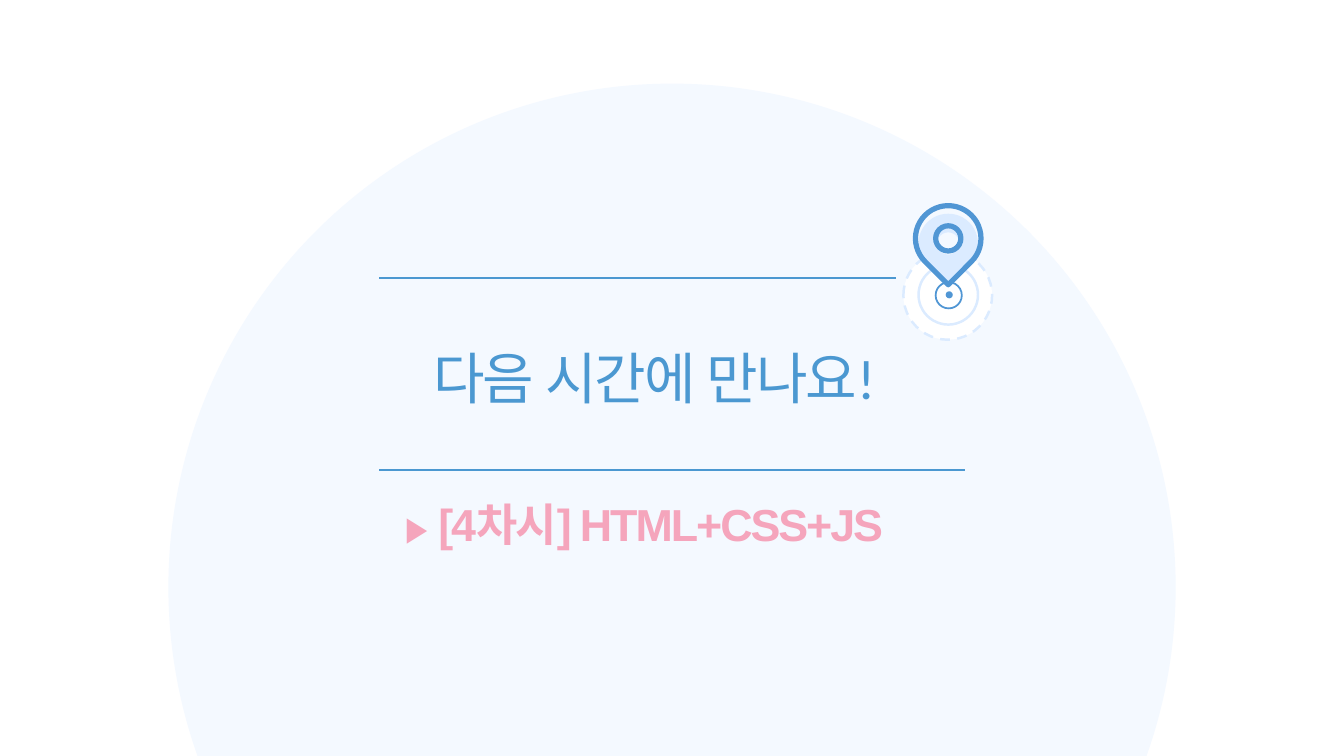
import math
from dataclasses import dataclass
from typing import Optional

from lxml import etree
from pptx import Presentation
from pptx.dml.color import RGBColor
from pptx.enum.dml import MSO_LINE
from pptx.enum.shapes import MSO_CONNECTOR, MSO_SHAPE
from pptx.enum.text import MSO_ANCHOR, MSO_AUTO_SIZE, PP_ALIGN
from pptx.oxml.ns import qn
from pptx.util import Inches, Pt

STRAIGHT = MSO_CONNECTOR.STRAIGHT
OVAL = MSO_SHAPE.OVAL
DASH = MSO_LINE.DASH
TOP = MSO_ANCHOR.TOP
NO_AUTOFIT = MSO_AUTO_SIZE.NONE
LEFT, CENTER = PP_ALIGN.LEFT, PP_ALIGN.CENTER

WHITE = RGBColor(0xFF, 0xFF, 0xFF)
PALE = RGBColor(0xF4, 0xF9, 0xFF)
LIGHT = RGBColor(0xDB, 0xEB, 0xFF)
BLUE = RGBColor(0x4B, 0x98, 0xD1)
PIN_BLUE = RGBColor(0x50, 0x96, 0xD4)
PINK = RGBColor(0xF5, 0xA5, 0xBC)

HEAD_ANGLES = [135, 180, 270, 360, 405]
HOLE_ANGLES = [0, 90, 180, 270, 360]


@dataclass
class Circle:
    left: float
    top: float
    diameter: float
    fill: RGBColor
    line: Optional[RGBColor] = None
    width: float = 0
    dash: Optional[MSO_LINE] = None


@dataclass
class Pin:
    left: float
    top: float
    diameter: float
    hole: float
    fill: Optional[RGBColor] = None
    line: Optional[RGBColor] = None
    width: float = 0


@dataclass
class Run:
    text: str
    font: dict
    spacing: float = 0


BACKDROP = Circle(1.67, 0.83, 9.99, PALE)
RINGS = [
    Circle(8.96, 2.49, 0.88, WHITE, LIGHT, 1.75, DASH),
    Circle(9.11, 2.63, 0.59, WHITE, LIGHT, 1.75),
    Circle(9.28, 2.8, 0.26, WHITE, PIN_BLUE, 1.25),
    Circle(9.38, 2.89, 0.07, PIN_BLUE),
]
PINS = [
    Pin(9.11, 2.12, 0.59, 0.22, fill=LIGHT),
    Pin(9.08, 2.04, 0.65, 0.25, line=PIN_BLUE, width=3.75),
]
RULES = [(2.76, 8.89), (4.66, 9.57)]
RULE_LEFT = 3.76

ASIAN_FONT = "Arial"
TITLE_FONT = {"name": "Calibri", "size": Pt(40), "bold": False}
LESSON_FONT = {"name": "Arial", "size": Pt(32), "bold": True}
MARKER_FONT = {"name": "Arial", "size": Pt(25), "bold": False}
TITLE = [Run("다음 시간에 만나요!", TITLE_FONT, -1.5)]
LESSON = [
    Run(" ", LESSON_FONT, -1.5),
    Run("▶︎", MARKER_FONT),
    Run(" [4차시] HTML+CSS+JS", LESSON_FONT, -1.5),
]


def paint(sp, fill: Optional[RGBColor], line: Optional[RGBColor], width: float) -> None:
    sp.shadow.inherit = False
    for target, color in ((sp.fill, fill), (sp.line.fill, line)):
        if color is None:
            target.background()
        else:
            target.solid()
            target.fore_color.rgb = color
    if line is not None:
        sp.line.width = Pt(width)


def add_circle(s, c: Circle):
    size = Inches(c.diameter)
    sp = s.shapes.add_shape(OVAL, Inches(c.left), Inches(c.top), size, size)
    paint(sp, c.fill, c.line, c.width)
    if c.dash is not None:
        sp.line.dash_style = c.dash
    return sp


def add_pin(s, pin: Pin) -> None:
    radius = pin.diameter / 2
    x, y = pin.left + radius, pin.top + radius

    def points(r: float, angles: list) -> list:
        return [(Inches(x + r * math.cos(math.radians(a))),
                 Inches(y + r * math.sin(math.radians(a)))) for a in angles]

    hole = points(pin.hole / 2, HOLE_ANGLES)
    builder = s.shapes.build_freeform(Inches(x), Inches(y + radius * math.sqrt(2)))
    builder.add_line_segments(points(radius, HEAD_ANGLES), close=True)
    builder.move_to(*hole[0])
    builder.add_line_segments(hole[1:], close=True)
    sp = builder.convert_to_shape()

    arcs = [(r, start, end)
            for r, angles in ((radius, HEAD_ANGLES), (pin.hole / 2, HOLE_ANGLES))
            for start, end in zip(angles, angles[1:])]
    segments = list(sp._element.iter(qn("a:lnTo")))[1:]
    for segment, (r, start, end) in zip(segments, arcs):
        arc = etree.Element(qn("a:arcTo"))
        values = {"wR": Inches(r), "hR": Inches(r),
                  "stAng": start * 60000, "swAng": (end - start) * 60000}
        for key, value in values.items():
            arc.set(key, str(int(value)))
        segment.getparent().replace(segment, arc)
    paint(sp, pin.fill, pin.line, pin.width)


def add_rule(s, y: float, right: float) -> None:
    rule = s.shapes.add_connector(
        STRAIGHT, Inches(RULE_LEFT), Inches(y), Inches(right), Inches(y))
    rule.line.color.rgb = BLUE
    rule.line.width = Pt(1.5)
    etree.SubElement(rule._element.spPr, qn("a:effectLst"))


def write(sp, runs: list, color: RGBColor, align: PP_ALIGN) -> None:
    tf = sp.text_frame
    frame = {"word_wrap": True, "auto_size": NO_AUTOFIT, "vertical_anchor": TOP}
    for key, value in frame.items():
        setattr(tf, key, value)
    p = tf.paragraphs[0]
    p.alignment = align
    for run in runs:
        r = p.add_run()
        r.text = run.text
        for key, value in run.font.items():
            setattr(r.font, key, value)
        r.font.color.rgb = color
        r.font._element.set("spc", str(int(run.spacing * 100)))
        etree.SubElement(r.font._element, qn("a:ea")).set("typeface", ASIAN_FONT)


def main() -> None:
    prs = Presentation()
    prs.slide_width, prs.slide_height = Inches(13.33), Inches(7.5)
    s = prs.slides.add_slide(prs.slide_layouts[5])

    title = s.shapes.title
    title.left, title.top = Inches(4.2), Inches(3.36)
    title.width, title.height = Inches(5.81), Inches(0.77)
    write(title, TITLE, BLUE, LEFT)
    backdrop = add_circle(s, BACKDROP)
    title._element.addprevious(backdrop._element)

    for y, right in RULES:
        add_rule(s, y, right)
    for ring in RINGS:
        add_circle(s, ring)
    for pin in PINS:
        add_pin(s, pin)

    lesson = s.shapes.add_textbox(Inches(2.17), Inches(4.88), Inches(8.31), Inches(0.64))
    write(lesson, LESSON, PINK, CENTER)
    prs.save("out.pptx")


if __name__ == "__main__":
    main()
